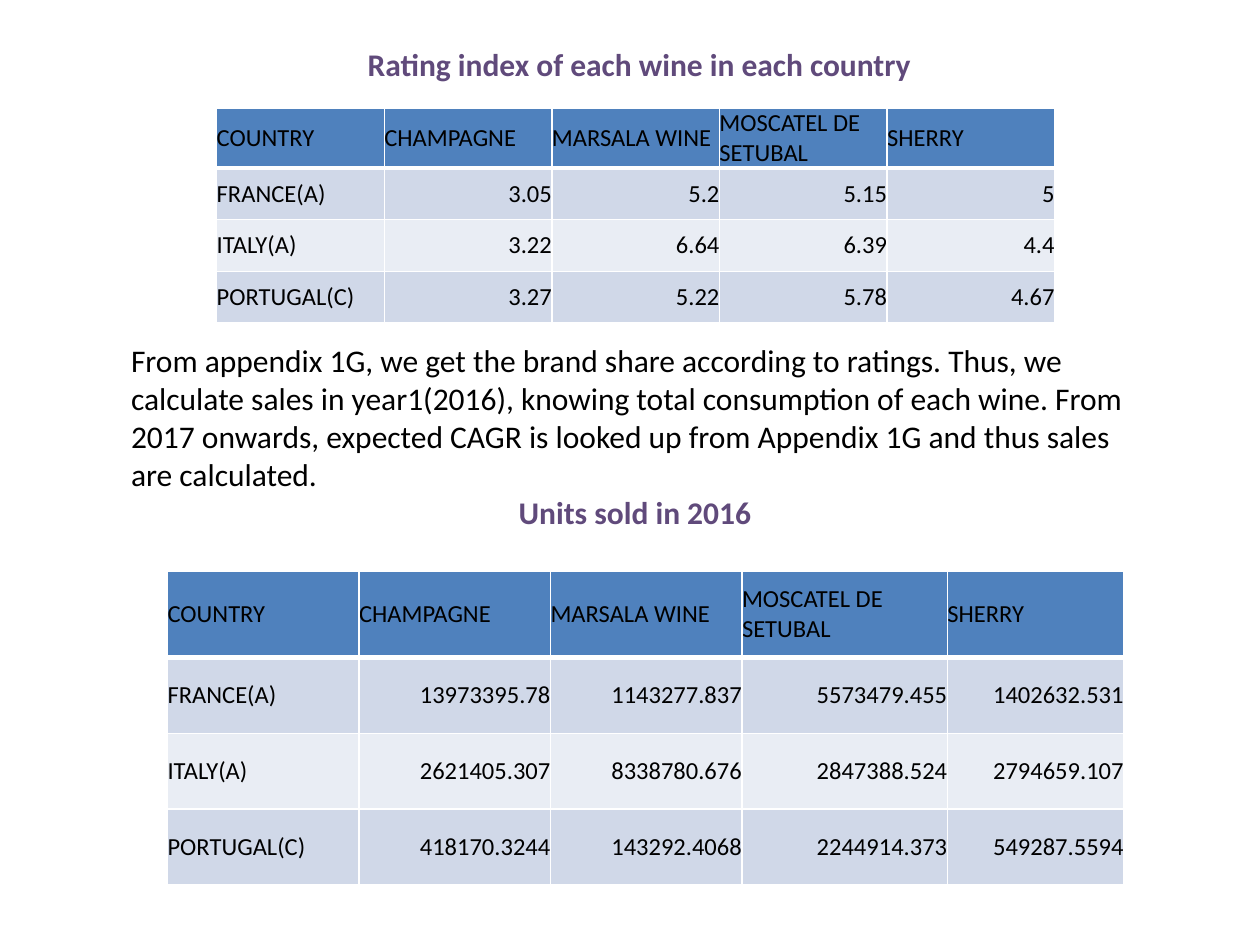
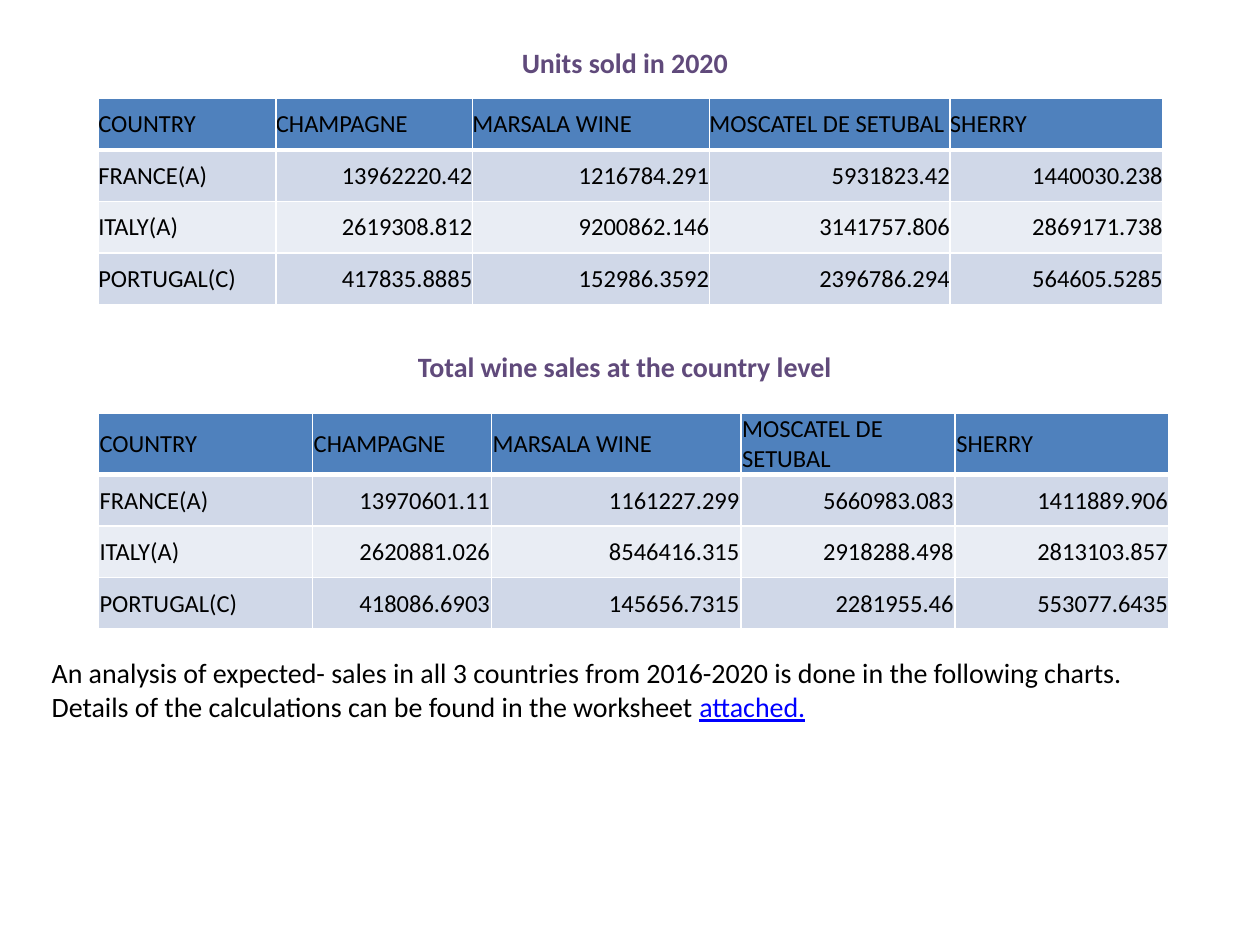
"""Two slides of wine ratings and unit sales by country."""
from dataclasses import dataclass

from lxml import etree
from pptx import Presentation
from pptx.dml.color import RGBColor
from pptx.enum.text import MSO_ANCHOR, MSO_AUTO_SIZE, PP_ALIGN
from pptx.oxml.ns import qn
from pptx.util import Inches, Pt

LEFT, CENTER, RIGHT = PP_ALIGN.LEFT, PP_ALIGN.CENTER, PP_ALIGN.RIGHT
TOP, MIDDLE = MSO_ANCHOR.TOP, MSO_ANCHOR.MIDDLE
NO_AUTOFIT = MSO_AUTO_SIZE.NONE


@dataclass(frozen=True)
class Theme:
    """Colours, font and type sizes shared by the slides."""
    font: str = "Calibri"
    heading: str = "604A7B"
    text: str = "000000"
    link: str = "0000FF"
    header_fill: str = "4F81BD"
    bands: tuple = ("D0D8E8", "E9EDF4")
    border: str = "FFFFFF"
    table_size: int = 14
    thin: int = 1
    thick: int = 3


THEME = Theme()
WINES = ("COUNTRY", "CHAMPAGNE", "MARSALA WINE", "MOSCATEL DE SETUBAL", "SHERRY")
COUNTRIES = ("FRANCE(A)", "ITALY(A)", "PORTUGAL(C)")

RATINGS = (("3.05", "5.2", "5.15", "5"),
           ("3.22", "6.64", "6.39", "4.4"),
           ("3.27", "5.22", "5.78", "4.67"))
UNITS_2016 = (("13973395.78", "1143277.837", "5573479.455", "1402632.531"),
              ("2621405.307", "8338780.676", "2847388.524", "2794659.107"),
              ("418170.3244", "143292.4068", "2244914.373", "549287.5594"))
UNITS_2020 = (("13962220.42", "1216784.291", "5931823.42", "1440030.238"),
              ("2619308.812", "9200862.146", "3141757.806", "2869171.738"),
              ("417835.8885", "152986.3592", "2396786.294", "564605.5285"))
TOTAL_SALES = (("13970601.11", "1161227.299", "5660983.083", "1411889.906"),
               ("2620881.026", "8546416.315", "2918288.498", "2813103.857"),
               ("418086.6903", "145656.7315", "2281955.46", "553077.6435"))

METHOD = ("From appendix 1G, we get the brand share according to ratings. Thus, we "
          "calculate sales in year1(2016), knowing total consumption of each wine. "
          "From 2017 onwards, expected CAGR is looked up from Appendix 1G and thus "
          "sales are calculated.")
ANALYSIS = ("An analysis of expected- sales in all 3 countries from 2016-2020 is done "
            "in the following charts.")
DETAILS = "Details of the calculations can be found in the worksheet "


def apply(target, formats):
    """Set every attribute named in formats on target."""
    for attribute, value in formats.items():
        setattr(target, attribute, value)


def add_run(paragraph, text, size, color=THEME.text, bold=False, underline=False):
    """Append a formatted run to a paragraph."""
    run = paragraph.add_run()
    run.text = text
    apply(run.font, {"name": THEME.font, "size": Pt(size), "bold": bold,
                     "underline": underline})
    run.font.color.rgb = RGBColor.from_string(color)


def place_text(holder, box, paragraphs):
    """Fill a placeholder with (alignment, space after, runs) paragraphs."""
    left, top, width, height = map(Inches, box)
    apply(holder, {"left": left, "top": top, "width": width, "height": height})
    frame = holder.text_frame
    apply(frame, {"word_wrap": True, "auto_size": NO_AUTOFIT, "vertical_anchor": TOP})
    for index, (alignment, gap, runs) in enumerate(paragraphs):
        paragraph = frame.add_paragraph() if index else frame.paragraphs[0]
        apply(paragraph, {"alignment": alignment, "line_spacing": 1.0,
                          "space_before": Pt(0), "space_after": Pt(gap)})
        properties = paragraph._p.get_or_add_pPr()
        properties.set("marL", "0")
        properties.set("indent", "0")
        etree.SubElement(properties, qn("a:buNone"))
        for text, formats in runs:
            add_run(paragraph, text, **formats)


def draw_borders(cell, widths):
    """Line the cell's sides with the given widths in points."""
    properties = cell._tc.get_or_add_tcPr()
    for side, width in widths.items():
        line = etree.SubElement(properties, qn(f"a:ln{side}"), w=str(Pt(width)))
        fill = etree.SubElement(line, qn("a:solidFill"))
        etree.SubElement(fill, qn("a:srgbClr"), val=THEME.border)


def wine_table(slide, position, widths, heights, figures, inset=0):
    """Add a banded table of countries against wines."""
    rows = [WINES] + [(country, *values) for country, values in zip(COUNTRIES, figures)]
    left, top = map(Inches, position)
    table = slide.shapes.add_table(len(rows), len(WINES), left, top,
                                   Inches(sum(widths)), Inches(sum(heights))).table
    for column, width in zip(table.columns, widths):
        column.width = Inches(width)
    margin = Inches(inset)
    for r, values in enumerate(rows):
        table.rows[r].height = Inches(heights[r])
        fill = THEME.bands[(r - 1) % 2] if r else THEME.header_fill
        borders = {"L": THEME.thin, "R": THEME.thin,
                   "T": THEME.thick if r == 1 else THEME.thin,
                   "B": THEME.thin if r else THEME.thick}
        for c, value in enumerate(values):
            cell = table.cell(r, c)
            apply(cell, {"margin_left": margin, "margin_right": margin,
                         "margin_top": margin, "margin_bottom": 0,
                         "vertical_anchor": MIDDLE})
            draw_borders(cell, borders)
            cell.fill.solid()
            cell.fill.fore_color.rgb = RGBColor.from_string(fill)
            paragraph = cell.text_frame.paragraphs[0]
            paragraph.alignment = RIGHT if r and c else LEFT
            add_run(paragraph, value, THEME.table_size)


def start_slide(deck, title, title_box, body, body_box, size):
    """Add a slide with its title and body text and return it."""
    slide = deck.slides.add_slide(deck.slide_layouts[1])
    place_text(slide.shapes.title, title_box, [(CENTER, 0, [(title, heading(size))])])
    place_text(slide.placeholders[1], body_box, body)
    return slide


def heading(size):
    """Return the run format of a heading."""
    return {"size": size, "color": THEME.heading, "bold": True}


def ratings_slide(deck):
    """Build the slide of ratings and 2016 sales."""
    size = 18
    body = [(LEFT, 0, [(METHOD, {"size": size})]),
            (CENTER, 0, [("Units sold in 2016", heading(size))])]
    slide = start_slide(deck, "Rating index of each wine in each country",
                        (0.62, 0.31, 8.91, 0.4), body, (0.94, 2.66, 8.2, 1.92), size)
    wine_table(slide, (1.72, 0.86), [1.33] * 5, [0.45] + [0.41] * 3, RATINGS)
    wine_table(slide, (1.33, 4.53), (1.52, 1.52, 1.52, 1.63, 1.4),
               [0.69] + [0.6] * 3, UNITS_2016)


def sales_slide(deck):
    """Build the slide of 2020 sales and country totals."""
    size = 16
    body = [(CENTER, 156, [("Total wine sales at the country level", heading(size))]),
            (LEFT, 0, [(ANALYSIS, {"size": size})]),
            (LEFT, 0, [(DETAILS, {"size": size}),
                       ("attached.", {"size": size, "color": THEME.link,
                                      "underline": True})])]
    slide = start_slide(deck, "Units sold in 2020", (0.31, 0.31, 9.3, 0.37),
                        body, (0.31, 2.72, 9.3, 3.61), size)
    wine_table(slide, (0.78, 0.78), (1.41, 1.56, 1.88, 1.91, 1.69), [0.41] * 4, UNITS_2020)
    wine_table(slide, (0.78, 3.28), (1.7, 1.42, 1.98, 1.7, 1.7),
               [0.46] + [0.41] * 3, TOTAL_SALES, inset=0.01)


def main():
    """Build and save the presentation."""
    deck = Presentation()
    apply(deck, {"slide_width": Inches(10), "slide_height": Inches(7.5)})
    ratings_slide(deck)
    sales_slide(deck)
    deck.save("out.pptx")


main()
